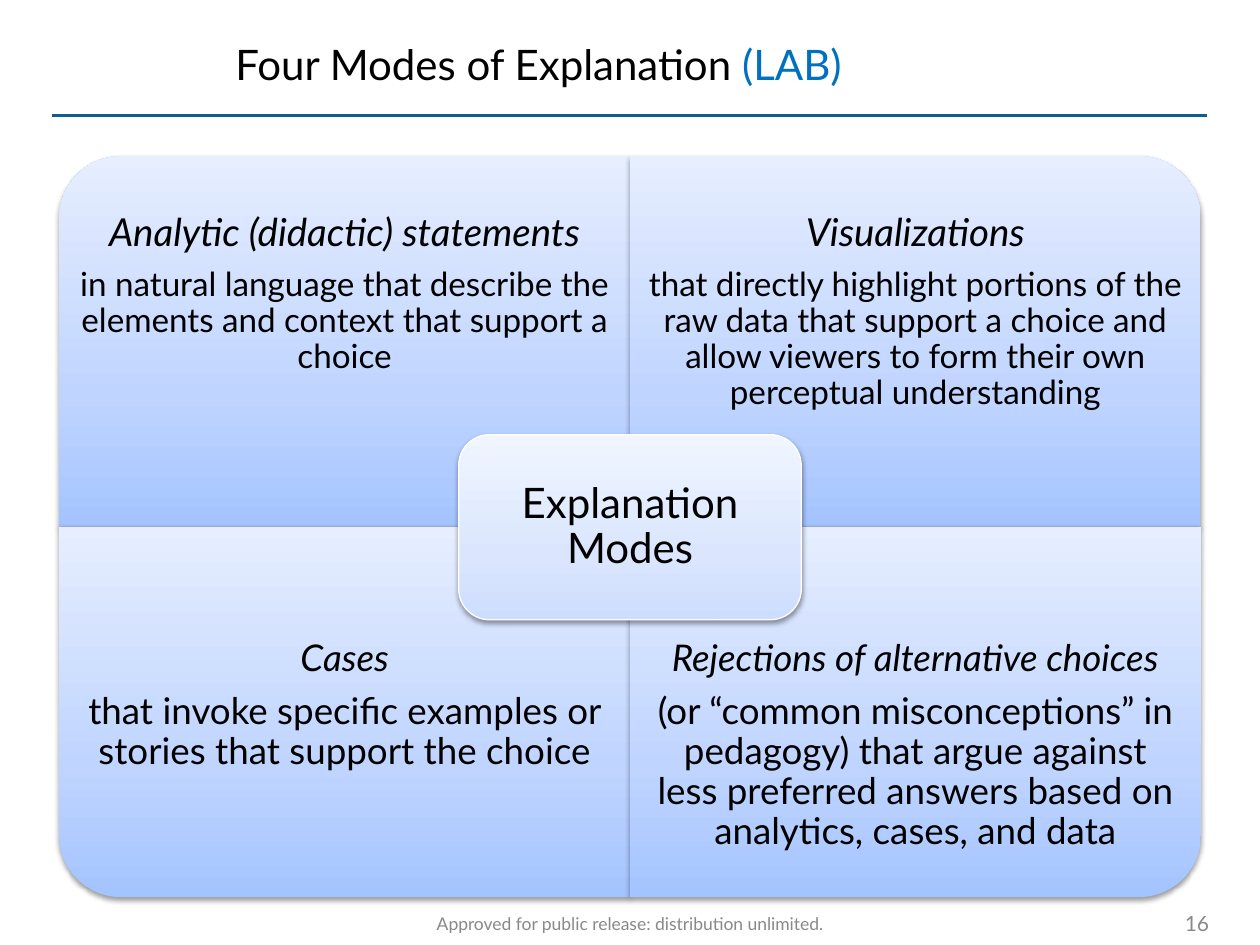
from lxml import etree
from pptx import Presentation
from pptx import util as u
from pptx.dml.color import RGBColor
from pptx.enum import shapes, text
from pptx.oxml import parse_xml
from pptx.oxml.ns import nsdecls, qn

BLACK = RGBColor(0x00, 0x00, 0x00)
WHITE = RGBColor(0xFF, 0xFF, 0xFF)
GRAY = RGBColor(0x89, 0x89, 0x89)
BLUE = RGBColor(0x00, 0x70, 0xC0)
RULE = RGBColor(0x0F, 0x5E, 0x90)
PANEL = (RGBColor(0xA4, 0xC4, 0xFF), RGBColor(0xBF, 0xD4, 0xFF), RGBColor(0xE6, 0xEE, 0xFF))
CENTER = (RGBColor(0xCD, 0xDD, 0xFE), RGBColor(0xDB, 0xE6, 0xFE), RGBColor(0xF0, 0xF5, 0xFF))
STOPS = (0, 35, 100)
ALIGN = text.PP_ALIGN
ANCHOR = text.MSO_ANCHOR
KIND = shapes.MSO_SHAPE

LEFT, TOP, WIDTH, HEIGHT = 33.84, 89.28, 326.16, 211.68
TEXT_HEIGHT = 158.4
MODES = [
    (0, 0, 270, "Analytic (didactic) statements", 22,
     "in natural language that describe the elements and context that support a choice", 19),
    (1, 0, 0, "Visualizations", 22,
     "that directly highlight portions of the raw data that support a choice "
     "and allow viewers to form their own perceptual understanding", 19),
    (0, 1, 180, "Cases", 21,
     "that invoke specific examples or stories that support the choice", 21),
    (1, 1, 90, "Rejections of alternative choices", 21,
     "(or “common misconceptions” in pedagogy) that argue against less preferred "
     "answers based on analytics, cases, and data", 21),
]


def add_run(paragraph, content, size=24, color=BLACK, italic=False):
    run = paragraph.add_run()
    run.text = content
    run.font.name = "Lato"
    run.font.size = u.Pt(size)
    run.font.color.rgb = color
    run.font.italic = italic


class SlideBuilder:
    def __init__(self, slide):
        self.slide = slide

    def rule(self, left, right, y, color, width):
        line = self.slide.shapes.add_connector(
            shapes.MSO_CONNECTOR.STRAIGHT, u.Pt(left), u.Pt(y), u.Pt(right), u.Pt(y))
        line.line.color.rgb = color
        line.line.width = u.Pt(width)
        etree.SubElement(line._element.spPr, qn("a:effectLst"))

    def text_box(self, left, top, width, height, paragraphs, align=ALIGN.CENTER,
                 anchor=ANCHOR.MIDDLE, insets=(7.2, 3.6, 7.2, 3.6), spacing=None, after=0):
        box = self.slide.shapes.add_textbox(u.Pt(left), u.Pt(top), u.Pt(width), u.Pt(height))
        frame = box.text_frame
        frame.word_wrap = True
        frame.vertical_anchor = anchor
        frame.margin_left, frame.margin_top, frame.margin_right, frame.margin_bottom = map(u.Pt, insets)
        for index, runs in enumerate(paragraphs):
            paragraph = frame.add_paragraph() if index else frame.paragraphs[0]
            paragraph.alignment = align
            paragraph.line_spacing = spacing
            paragraph.space_after = u.Pt(after)
            for content, style in runs:
                add_run(paragraph, content, **style)

    def gradient_shape(self, kind, left, top, width, height, colors, rotation=0, outline=None):
        if rotation % 180:
            left, top = left + (width - height) / 2, top + (height - width) / 2
            width, height = height, width
        shape = self.slide.shapes.add_shape(kind, u.Pt(left), u.Pt(top), u.Pt(width), u.Pt(height))
        shape.rotation = rotation
        if outline is None:
            shape.line.fill.background()
        else:
            shape.line.color.rgb = outline
            shape.line.width = u.Pt(0.75)
        shape.fill.background()
        stops = "".join(f'<a:gs pos="{position * 1000}"><a:srgbClr val="{color}"/></a:gs>'
                        for position, color in zip(STOPS, colors))
        properties = shape._element.spPr
        properties.replace(properties.find(qn("a:noFill")), parse_xml(
            f'<a:gradFill {nsdecls("a")} rotWithShape="0"><a:gsLst>{stops}</a:gsLst>'
            '<a:lin ang="16200000" scaled="0"/></a:gradFill>'))
        shape.shadow.inherit = False
        properties.find(qn("a:effectLst")).append(parse_xml(
            f'<a:outerShdw {nsdecls("a")} blurRad="{u.Pt(3.1)}" dist="{u.Pt(1.6)}" dir="5400000" '
            'rotWithShape="0"><a:srgbClr val="000000"><a:alpha val="38000"/></a:srgbClr></a:outerShdw>'))

    def mode(self, column, row, rotation, heading, heading_size, body, body_size):
        left, top = LEFT + column * WIDTH, TOP + row * HEIGHT
        self.gradient_shape(KIND.ROUND_1_RECTANGLE, left, top, WIDTH, HEIGHT, PANEL, rotation)
        inset = 11.5 if row else 8.6
        text_top = top + row * (HEIGHT - TEXT_HEIGHT)
        self.text_box(left, text_top, WIDTH, TEXT_HEIGHT,
                      [[(heading, dict(size=heading_size, italic=True))],
                       [(body, dict(size=body_size))]],
                      anchor=ANCHOR.TOP, insets=(inset, inset if row else 32.5, inset, inset),
                      spacing=0.9, after=7.7)


def main():
    presentation = Presentation()
    presentation.slide_width, presentation.slide_height = u.Pt(720), u.Pt(540)
    builder = SlideBuilder(presentation.slides.add_slide(presentation.slide_layouts[6]))
    builder.rule(30, 690, 66.2, RULE, 1.75)
    builder.text_box(105, 515.5, 510, 24,
                     [[("Approved for public release: distribution unlimited.", dict(size=10, color=GRAY))]])
    builder.text_box(638, 516, 60, 23, [[("16", dict(size=12, color=GRAY))]], align=ALIGN.RIGHT)
    builder.text_box(127.5, 12.2, 562, 48,
                     [[("Four Modes of Explanation ", {}), ("(LAB)", dict(color=BLUE))]],
                     align=ALIGN.LEFT)
    for mode in MODES:
        builder.mode(*mode)
    builder.gradient_shape(KIND.ROUNDED_RECTANGLE, 262.1, 248.4, 195.8, 105.8, CENTER, outline=WHITE)
    builder.text_box(267.3, 253.4, 185.4, 95.8, [[("Explanation Modes", {})]],
                     insets=(7.2,) * 4, spacing=0.9)
    presentation.save("out.pptx")


if __name__ == "__main__":
    main()
